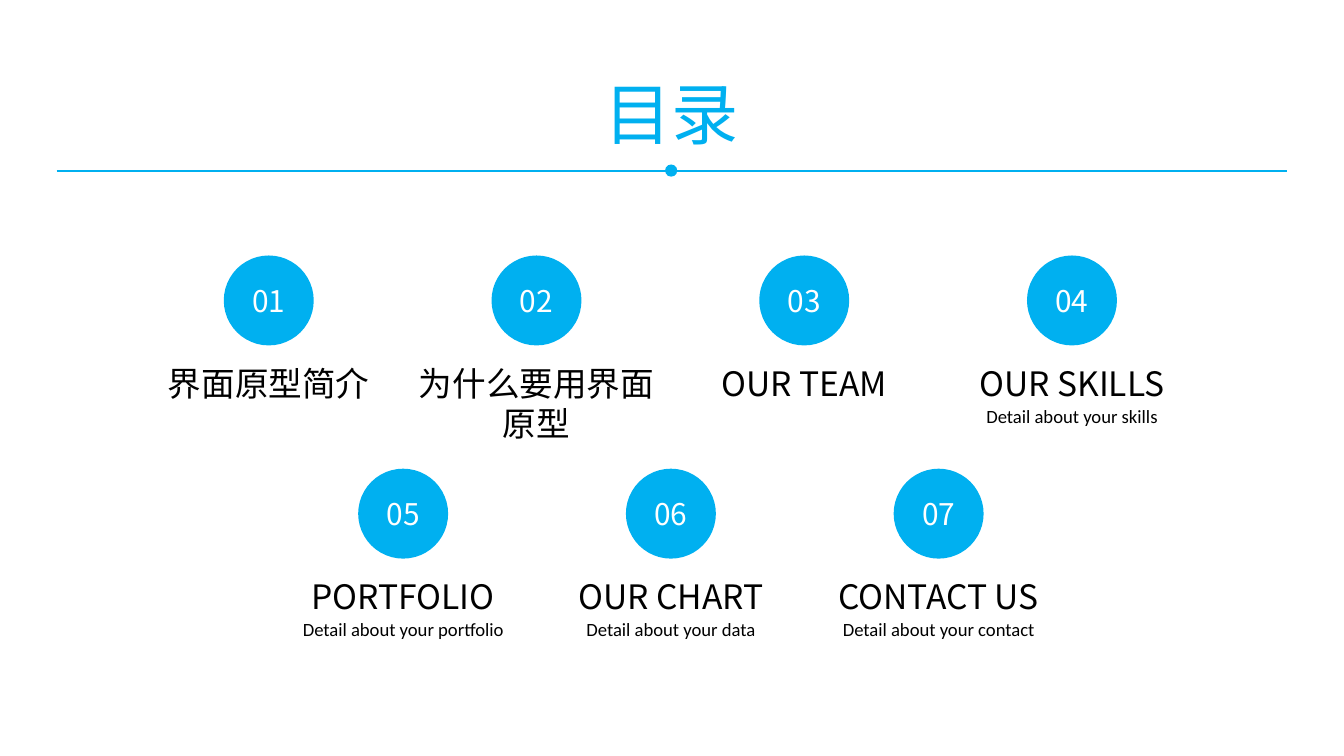
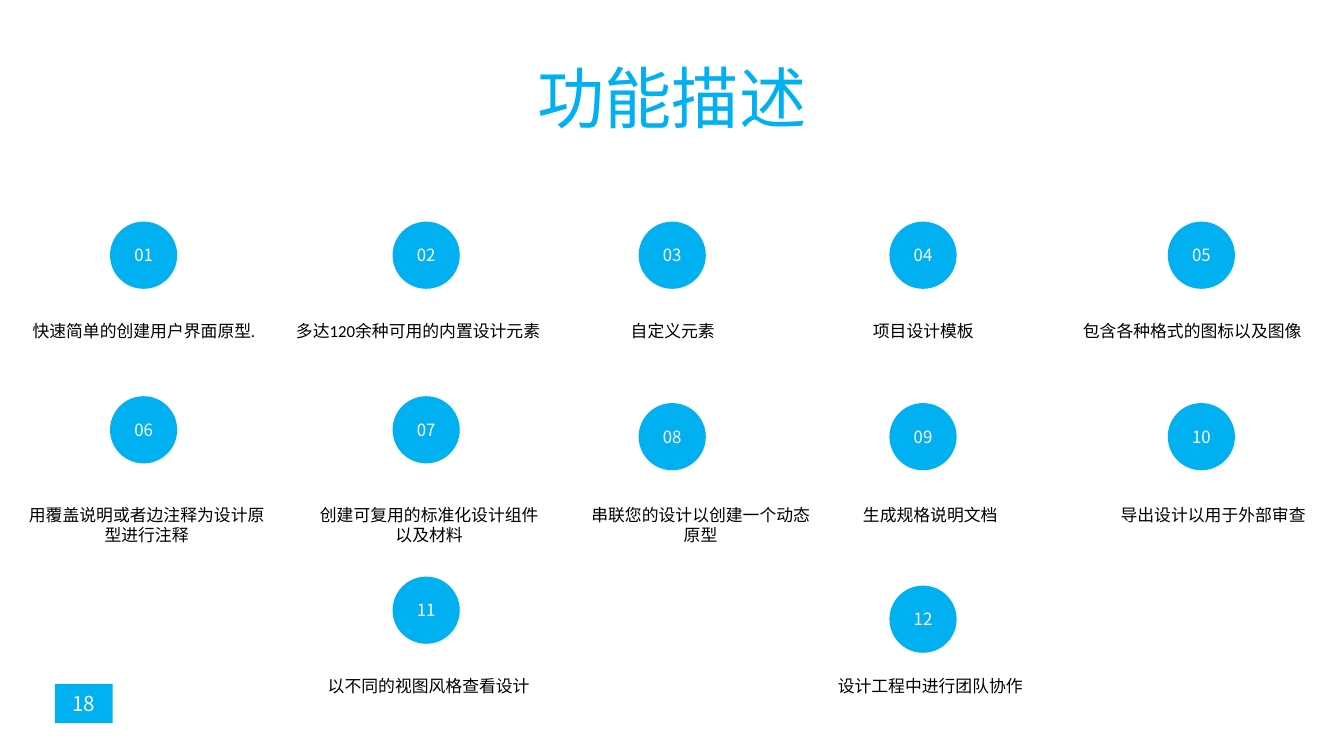
"""Build the contents slide and the feature description slide."""
from lxml import etree
from pptx import Presentation
from pptx.dml.color import RGBColor
from pptx.enum.shapes import MSO_CONNECTOR, MSO_SHAPE
from pptx.enum.text import MSO_ANCHOR, MSO_AUTO_SIZE, PP_ALIGN
from pptx.oxml.ns import qn
from pptx.util import Cm, Pt

OVAL, RECT = MSO_SHAPE.OVAL, MSO_SHAPE.RECTANGLE
STRAIGHT = MSO_CONNECTOR.STRAIGHT
TOP, MIDDLE, BOTTOM = MSO_ANCHOR.TOP, MSO_ANCHOR.MIDDLE, MSO_ANCHOR.BOTTOM
GROW = MSO_AUTO_SIZE.SHAPE_TO_FIT_TEXT
CENTER = PP_ALIGN.CENTER

COLORS = {"accent": "00B0F0", "text": "000000", "light": "FFFFFF"}
HEAD, BODY = "Noto Sans CJK KR", "Calibri"


def add_text(shapes, text, box, size, color="text", font=HEAD, anchor=TOP):
    """Add a centred text box."""
    sp = shapes.add_textbox(*[Cm(v) for v in box])
    write(sp, text, size, color, font, anchor)


def write(sp, text, size, color, font, anchor):
    """Fill a shape with one centred paragraph."""
    tf = sp.text_frame
    tf.word_wrap = True
    tf.vertical_anchor = anchor
    if anchor == TOP:
        tf.auto_size = GROW
    p = tf.paragraphs[0]
    p.text = text
    p.alignment = CENTER
    p.font.size = Pt(size)
    p.font.color.rgb = RGBColor.from_string(COLORS[color])
    p.font.name = font
    latin = p._p.find(".//" + qn("a:latin"))
    latin.addnext(etree.Element(qn("a:ea"), typeface=HEAD))


prs = Presentation()
prs.slide_width, prs.slide_height = Cm(25.4), Cm(14.29)

titles = [("目录", (2.54, 1.22, 20.32, 1.8)), ("功能描述", (5.08, 1.65, 15.24, 1.07))]
for title, box in titles:
    s = prs.slides.add_slide(prs.slide_layouts[6])
    add_text(s.shapes, title, box, 36, "accent", anchor=BOTTOM)
contents, features = prs.slides

rule = contents.shapes.add_group_shape().shapes
line = rule.add_connector(STRAIGHT, Cm(1.07), Cm(3.23), Cm(24.33), Cm(3.23))
line.line.color.rgb = RGBColor.from_string(COLORS["accent"])
line.line.width = Pt(0.75)
etree.SubElement(line._element.spPr, qn("a:effectLst"))

marks = [(rule, OVAL, "", (12.57, 3.11, 0.23, 0.23), 11),
         (features.shapes, RECT, "18", (1.04, 12.93, 1.09, 0.74), 11)]

content_rows = [
    (2.54, 4.83, [("界面原型简介", ""), ("为什么要用界面原型", ""), ("OUR TEAM", ""),
                  ("OUR SKILLS", "Detail about your skills")]),
    (5.08, 8.86, [("PORTFOLIO", "Detail about your portfolio"),
                  ("OUR CHART", "Detail about your data"),
                  ("CONTACT US", "Detail about your contact")]),
]
number = 0
for left, top, entries in content_rows:
    for i, (heading, detail) in enumerate(entries):
        number += 1
        x = left + 5.06 * i
        group = contents.shapes.add_group_shape().shapes
        marks.append((group, OVAL, f"{number:02}", (x + 1.69, top, 1.7, 1.7), 16))
        add_text(group, heading, (x, top + 1.9, 5.08, 1.02), 18)
        if detail:
            add_text(group, detail, (x, top + 2.69, 5.08, 0.69), 10, font=BODY)

columns = [2.08, 7.42, 12.07, 16.81, 22.07]
feature_rows = [
    (5.94, [(0, 4.19, 0.18, 5.08, "快速简单的创建用户界面原型."),
            (1, 4.19, 5.31, 5.18, "多达120余种可用的内置设计元素"),
            (2, 4.19, 11.18, 3.07, "自定义元素"),
            (3, 4.19, 14.91, 5.08, "项目设计模板"),
            (4, 4.19, 19.99, 5.08, "包含各种格式的图标以及图像")]),
    (9.42, [(0, 7.49, 0.23, 5.08, "用覆盖说明或者边注释为设计原型进行注释"),
            (1, 7.49, 5.72, 4.78, "创建可复用的标准化设计组件以及材料"),
            (2, 7.62, 10.85, 4.78, "串联您的设计以创建一个动态原型"),
            (3, 7.62, 15.98, 3.2, "生成规格说明文档"),
            (4, 7.62, 20.65, 4.55, "导出设计以用于外部审查")]),
    (12.65, [(1, 10.9, 5.56, 5.08, "以不同的视图风格查看设计"),
             (3, 11.07, 15.04, 5.08, "设计工程中进行团队协作")]),
]
number = 0
for text_top, entries in feature_rows:
    for column, circle_top, left, width, text in entries:
        number += 1
        circle = (columns[column], circle_top, 1.27, 1.27)
        marks.append((features.shapes, OVAL, f"{number:02}", circle, 9))
        add_text(features.shapes, text, (left, text_top, width, 0.64), 9, font=BODY)

for shapes, kind, label, box, size in marks:
    sp = shapes.add_shape(kind, *[Cm(v) for v in box])
    sp.shadow.inherit = False
    sp.fill.solid()
    sp.fill.fore_color.rgb = RGBColor.from_string(COLORS["accent"])
    sp.line.fill.background()
    if label:
        write(sp, label, size, "light", HEAD, MIDDLE)

prs.save("out.pptx")
